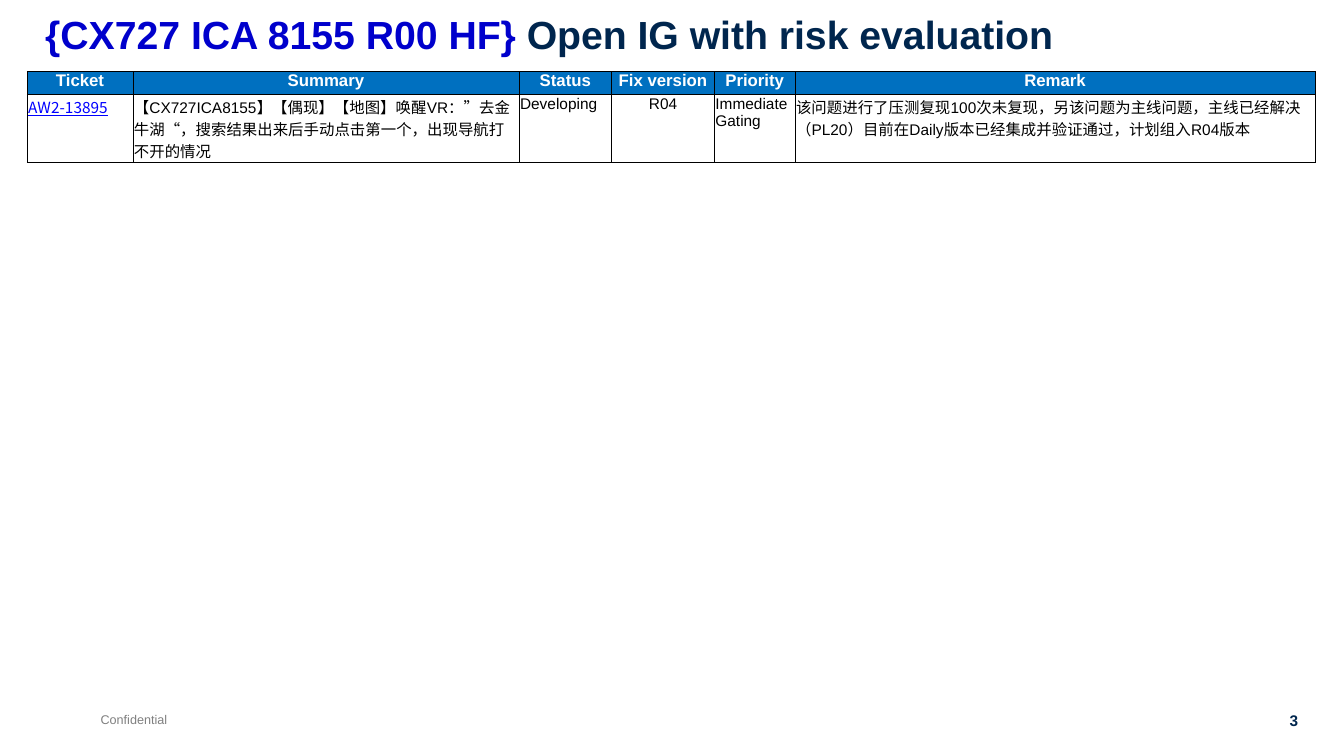
import pptx
import pptx.dml.color
import pptx.enum.text
import pptx.oxml.ns
import pptx.util
from lxml import etree

Pt = pptx.util.Pt
ALIGN = pptx.enum.text.PP_ALIGN
ANCHOR = pptx.enum.text.MSO_ANCHOR
qn = pptx.oxml.ns.qn

COLORS = {
    "navy": "00264E",
    "project": "0000CC",
    "link": "0000FF",
    "header": "0070C0",
    "footer": "808080",
    "black": "000000",
    "white": "FFFFFF",
}
CJK_FONT = "Noto Sans CJK SC"

COLUMNS = [
    ("Ticket", 75.6),
    ("Summary", 275.8),
    ("Status", 66.2),
    ("Fix version", 73.4),
    ("Priority", 57.6),
    ("Remark", 371.5),
]
TICKET = [
    "AW2-13895",
    "【CX727ICA8155】【偶现】【地图】唤醒VR：”去金牛湖“，搜索结果出来后手动点击第一个，出现导航打不开的情况",
    "Developing",
    "R04",
    "Immediate Gating",
    "该问题进行了压测复现100次未复现，另该问题为主线问题，主线已经解决（PL20）目前在Daily版本已经集成并验证通过，计划组入R04版本",
]


def rgb(color):
    return pptx.dml.color.RGBColor.from_string(COLORS[color])


def add_text(paragraph, text, size=11, color="black", bold=False,
             underline=False, font="Arial", align=ALIGN.LEFT):
    paragraph.alignment = align
    run = paragraph.add_run()
    run.text = text
    run.font.name = font
    run.font.size = Pt(size)
    run.font.bold = bold
    run.font.underline = underline
    run.font.color.rgb = rgb(color)
    latin = run.font._element.find(qn("a:latin"))
    east_asian = etree.Element(qn("a:ea"), typeface=CJK_FONT)
    latin.addnext(east_asian)


class SlideBuilder:
    border_width = 0.5
    cell_inset = 0.72

    def __init__(self, slide):
        self.slide = slide

    def text_box(self, left, top, width, height, wrap=False, anchor=ANCHOR.TOP):
        shape = self.slide.shapes.add_textbox(Pt(left), Pt(top), Pt(width), Pt(height))
        shape.text_frame.word_wrap = wrap
        shape.text_frame.vertical_anchor = anchor
        return shape.text_frame.paragraphs[0]

    def borders(self, cell):
        properties = cell._tc.get_or_add_tcPr()
        for side in ("lnL", "lnR", "lnT", "lnB"):
            line = etree.SubElement(properties, qn(f"a:{side}"),
                                    w=str(Pt(self.border_width)))
            fill = etree.SubElement(line, qn("a:solidFill"))
            etree.SubElement(fill, qn("a:srgbClr"), val=COLORS["black"])

    def cell(self, cell, text, fill=None, inset=0, **text_format):
        cell.margin_left = cell.margin_right = cell.margin_top = Pt(inset)
        cell.margin_bottom = Pt(0)
        self.borders(cell)
        if fill:
            cell.fill.solid()
            cell.fill.fore_color.rgb = rgb(fill)
        else:
            cell.fill.background()
        add_text(cell.text_frame.paragraphs[0], text, **text_format)

    def ticket_table(self, left, top, row_heights):
        width = sum(column_width for _, column_width in COLUMNS)
        table = self.slide.shapes.add_table(
            len(row_heights), len(COLUMNS), Pt(left), Pt(top),
            Pt(width), Pt(sum(row_heights))).table
        table.first_row = table.horz_banding = False
        for row, height in zip(table.rows, row_heights):
            row.height = Pt(height)
        for index, (heading, column_width) in enumerate(COLUMNS):
            table.columns[index].width = Pt(column_width)
            self.cell(table.cell(0, index), heading, fill="header", size=12,
                      color="white", bold=True, align=ALIGN.CENTER)
            text_format = {}
            if heading == "Ticket":
                text_format = {"color": "link", "underline": True, "font": CJK_FONT}
            elif heading == "Fix version":
                text_format = {"align": ALIGN.CENTER}
            self.cell(table.cell(1, index), TICKET[index],
                      inset=self.cell_inset, **text_format)


def main():
    presentation = pptx.Presentation()
    presentation.slide_width = Pt(960)
    presentation.slide_height = Pt(540)
    slide = presentation.slides.add_slide(presentation.slide_layouts[6])
    builder = SlideBuilder(slide)

    add_text(builder.text_box(64.8, 504.7, 62.6, 18), "Confidential",
             size=9, color="footer")
    add_text(builder.text_box(906.5, 504.7, 28, 21), "3",
             size=11, color="navy", bold=True, align=ALIGN.RIGHT)

    title = builder.text_box(25.2, 7.2, 934.6, 38.2, wrap=True, anchor=ANCHOR.MIDDLE)
    title.line_spacing = 0.9
    add_text(title, "{CX727 ICA 8155 R00 HF} ", size=28, color="project", bold=True)
    add_text(title, "Open IG with risk evaluation", size=28, color="navy", bold=True)

    builder.ticket_table(19.4, 51.2, [16.2, 48.5])
    presentation.save("out.pptx")


if __name__ == "__main__":
    main()
